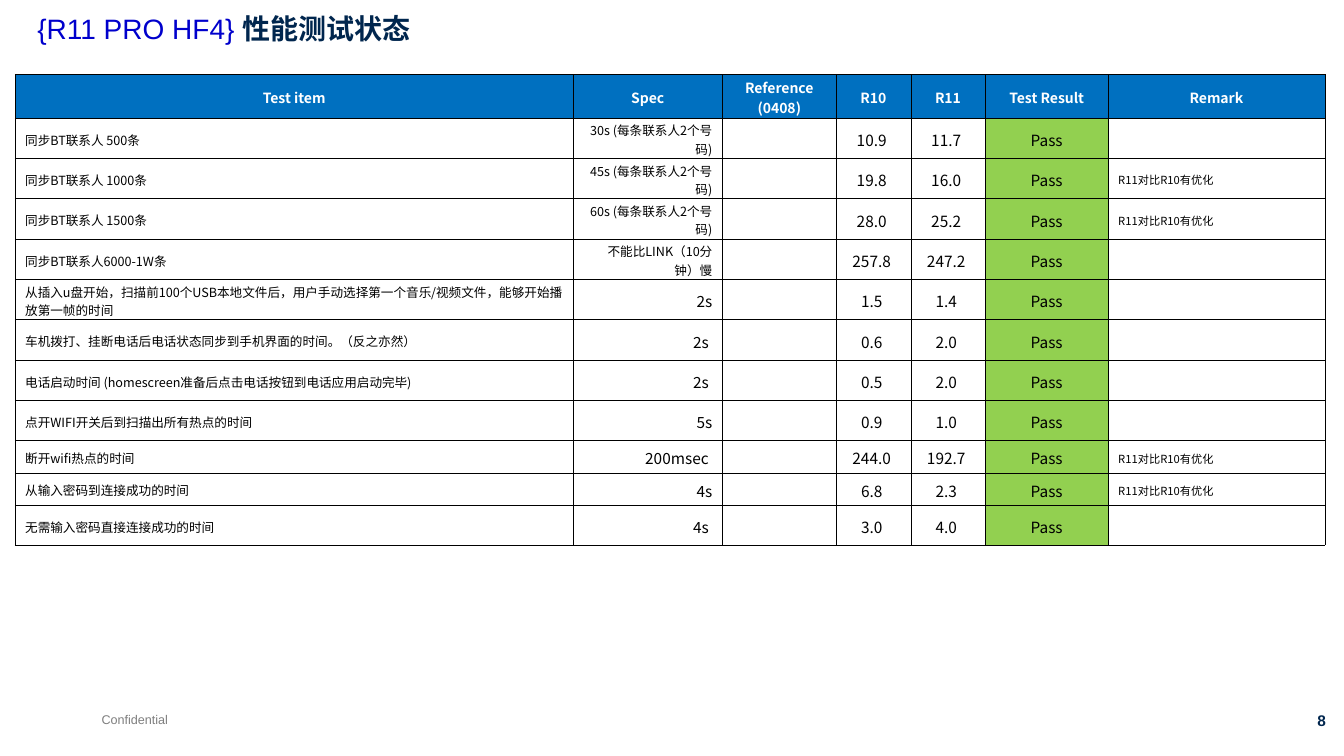
from dataclasses import dataclass

from lxml import etree
from pptx import Presentation
from pptx import util as u
from pptx.dml.color import RGBColor
from pptx.enum import text
from pptx.oxml.ns import qn

LEFT, CENTER, RIGHT = text.PP_ALIGN.LEFT, text.PP_ALIGN.CENTER, text.PP_ALIGN.RIGHT


@dataclass(frozen=True)
class Theme:
    latin: str = "Arial"
    cjk: str = "Noto Sans CJK SC"
    blue: str = "0000CC"
    navy: str = "00264E"
    gray: str = "7F7F7F"
    black: str = "000000"
    white: str = "FFFFFF"
    header: str = "0070C0"
    passed: str = "92D050"
    title_size: int = 20
    value_size: int = 11
    header_size: int = 10
    label_size: int = 9
    remark_size: int = 8


def add_run(p, content, *, size, color, font, ea=None, bold=False, align=LEFT):
    p.alignment = align
    r = p.add_run()
    r.text = content
    r.font.size, r.font.bold, r.font.name = u.Pt(size), bold, font
    r.font.color.rgb = RGBColor.from_string(color)
    if ea:
        etree.SubElement(r.font._element, qn("a:ea"), typeface=ea)


class StatusSlide:
    def __init__(self, prs, theme):
        self.theme = theme
        self.s = prs.slides.add_slide(prs.slide_layouts[5])

    def title(self, prefix, heading):
        t, sp = self.theme, self.s.shapes.title
        sp.left, sp.top = u.Inches(0.27), u.Inches(0.1)
        sp.width, sp.height = u.Inches(11.85), u.Inches(0.63)
        tf = sp.text_frame
        tf.vertical_anchor = text.MSO_ANCHOR.TOP
        tf.auto_size = text.MSO_AUTO_SIZE.NONE
        p = tf.paragraphs[0]
        p.line_spacing = 0.9
        add_run(p, prefix, size=t.title_size, color=t.blue, font=t.latin)
        add_run(p, heading, size=t.title_size, color=t.navy, font=t.latin,
                ea=t.cjk, bold=True)

    def label(self, content, x, y, w, h, **fmt):
        sp = self.s.shapes.add_textbox(*map(u.Inches, (x, y, w, h)))
        add_run(sp.text_frame.paragraphs[0], content, font=self.theme.latin, **fmt)

    def cell(self, cell, content, *, size, fill, color, align=LEFT, bold=False):
        t = self.theme
        cell.vertical_anchor = text.MSO_ANCHOR.MIDDLE
        cell.margin_top, cell.margin_bottom = u.Inches(0.03), 0
        tc_pr = cell._tc.get_or_add_tcPr()
        for side in ("a:lnL", "a:lnR", "a:lnT", "a:lnB"):
            ln = etree.SubElement(tc_pr, qn(side), w=str(u.Pt(0.25)))
            line_fill = etree.SubElement(ln, qn("a:solidFill"))
            etree.SubElement(line_fill, qn("a:srgbClr"), val=t.black)
        cell.fill.solid()
        cell.fill.fore_color.rgb = RGBColor.from_string(fill)
        p = cell.text_frame.paragraphs[0]
        if content:
            add_run(p, content, size=size, color=color, font=t.cjk, ea=t.cjk,
                    bold=bold, align=align)
        else:
            etree.SubElement(p._p, qn("a:endParaRPr"), sz=str(size * 100))

    def table(self, x, y, widths, heights, headers, rows):
        t = self.theme
        frame = self.s.shapes.add_table(
            len(heights), len(widths), u.Inches(x), u.Inches(y),
            u.Inches(sum(widths)), u.Inches(sum(heights)))
        tbl = frame.table
        tbl.first_row = tbl.horz_banding = False
        for col, w in zip(tbl.columns, widths):
            col.width = u.Inches(w)
        for row, h in zip(tbl.rows, heights):
            row.height = u.Inches(h)
        for j, name in enumerate(headers):
            self.cell(tbl.cell(0, j), name, size=t.header_size, fill=t.header,
                      color=t.white, align=CENTER, bold=True)
        # Size, alignment and fill of each column
        value = (t.value_size, CENTER, t.white)
        styles = [(t.label_size, LEFT, t.white), (t.value_size, RIGHT, t.white),
                  (t.label_size, LEFT, t.white), value, value,
                  (t.value_size, CENTER, t.passed), (t.remark_size, LEFT, t.white)]
        for i, (item, limit, r10, r11, remark) in enumerate(rows, 1):
            values = (item, limit, "", f"{r10} ", f"{r11} ", "Pass", remark)
            for j, (content, (size, align, fill)) in enumerate(zip(values, styles)):
                if j == 1 and len(limit) > 10:  # long limits wrap in small type
                    size = t.label_size
                self.cell(tbl.cell(i, j), content, size=size, fill=fill,
                          color=t.black, align=align)


BETTER = "R11对比R10有优化"
HEADERS = ["Test item", "Spec", "Reference (0408)", "R10", "R11", "Test Result", "Remark"]
RESULTS = [
    ("同步BT联系人 500条", "30s (每条联系人2个号码)", 10.9, 11.7, ""),
    ("同步BT联系人 1000条", "45s (每条联系人2个号码)", 19.8, 16.0, BETTER),
    ("同步BT联系人 1500条", "60s (每条联系人2个号码)", 28.0, 25.2, BETTER),
    ("同步BT联系人6000-1W条", "不能比LINK（10分钟）慢", 257.8, 247.2, ""),
    ("从插入u盘开始，扫描前100个USB本地文件后，用户手动选择第一个音乐/视频文件，"
     "能够开始播放第一帧的时间", "2s", 1.5, 1.4, ""),
    ("车机拨打、挂断电话后电话状态同步到手机界面的时间。（反之亦然）", "2s ", 0.6, 2.0, ""),
    ("电话启动时间 (homescreen准备后点击电话按钮到电话应用启动完毕)", "2s ", 0.5, 2.0, ""),
    ("点开WIFI开关后到扫描出所有热点的时间", "5s", 0.9, 1.0, ""),
    ("断开wifi热点的时间", "200msec ", 244.0, 192.7, BETTER),
    ("从输入密码到连接成功的时间", "4s", 6.8, 2.3, BETTER),
    ("无需输入密码直接连接成功的时间", "4s ", 3.0, 4.0, ""),
]


def main():
    prs = Presentation()
    prs.slide_width, prs.slide_height = u.Inches(13.34), u.Inches(7.5)
    theme = Theme()
    page = StatusSlide(prs, theme)

    # Title
    page.title("{R11 PRO HF4} ", "性能测试状态")

    # Test results
    page.table(0.15, 0.74, widths=[5.54, 1.48, 1.13, 0.74, 0.74, 1.22, 2.15],
               heights=[0.43] + [0.4] * 8 + [0.32] * 2 + [0.4],
               headers=HEADERS, rows=RESULTS)

    # Footer
    page.label("Confidential", 0.91, 7.01, 0.86, 0.25, size=9, color=theme.gray)
    page.label("8", 12.32, 7.01, 0.94, 0.29, size=11, color=theme.navy,
               bold=True, align=RIGHT)
    prs.save("out.pptx")


if __name__ == "__main__":
    main()
